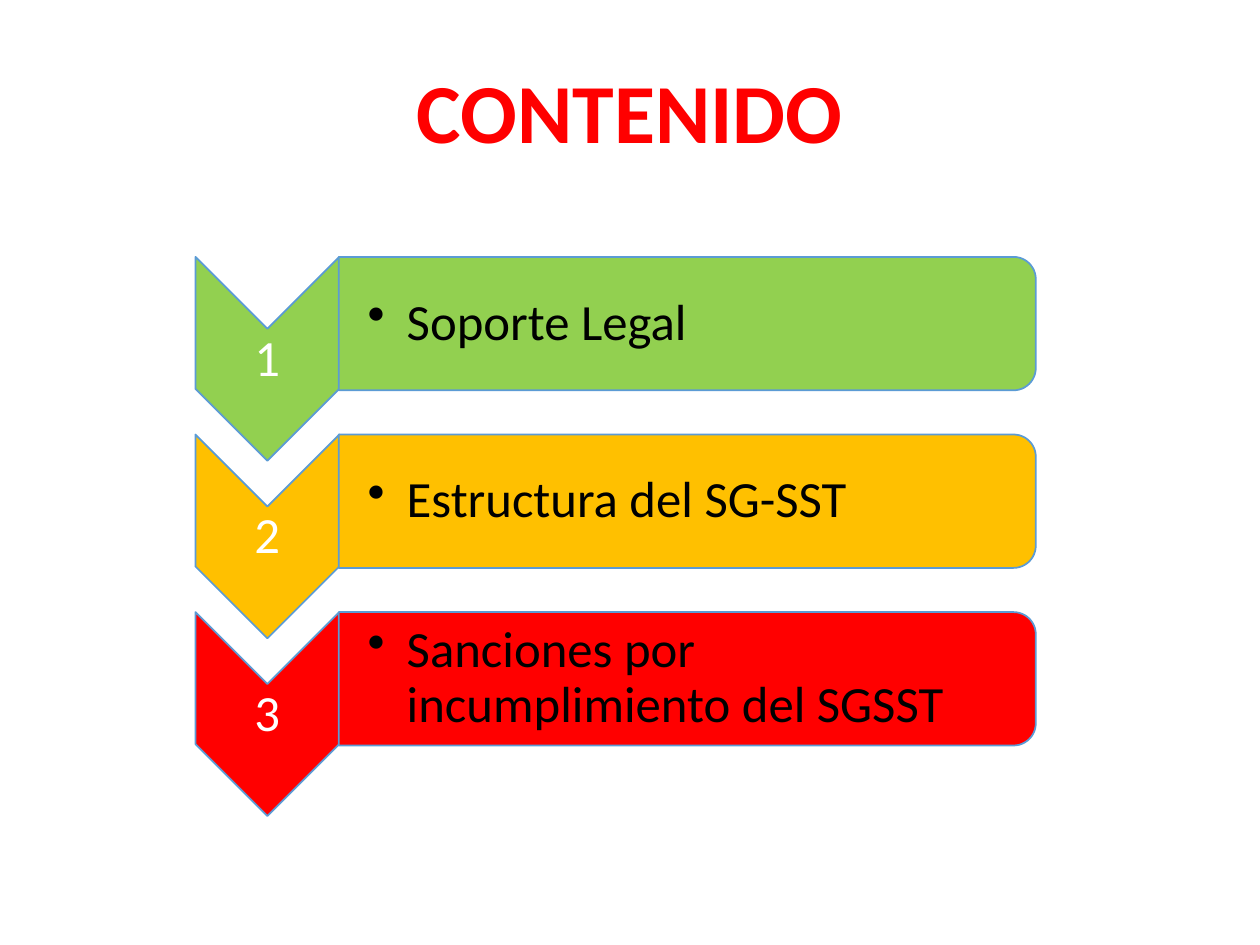
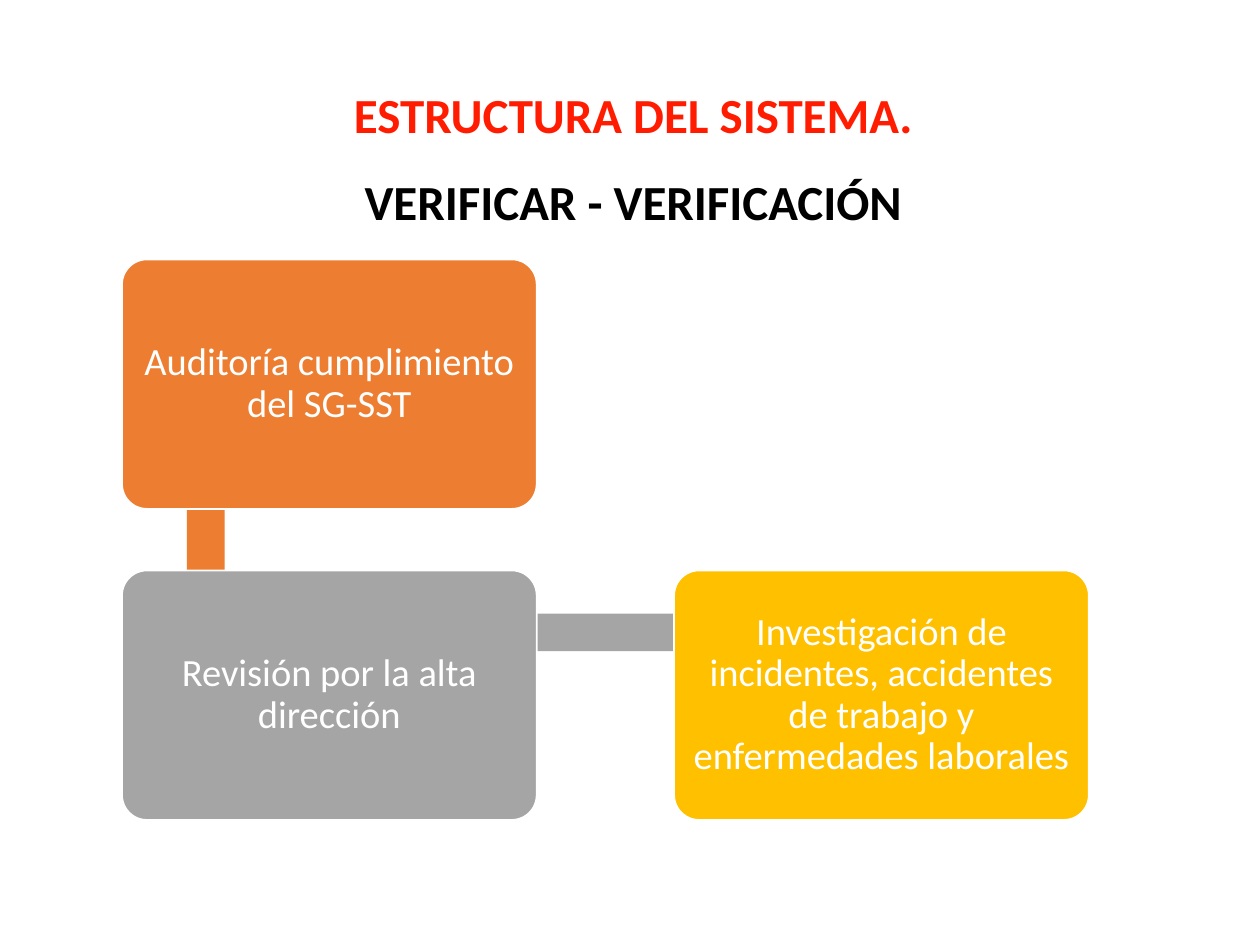
import pptx
import pptx.dml.color
import pptx.enum.shapes
import pptx.enum.text
import pptx.util
from lxml import etree
from pptx.oxml.ns import qn

Cm, Pt = pptx.util.Cm, pptx.util.Pt
RGBColor = pptx.dml.color.RGBColor
SHAPE = pptx.enum.shapes.MSO_SHAPE
ALIGN = pptx.enum.text.PP_ALIGN
ANCHOR = pptx.enum.text.MSO_ANCHOR

WHITE = RGBColor(0xFF, 0xFF, 0xFF)
BLACK = RGBColor(0x00, 0x00, 0x00)
RED = RGBColor(0xFF, 0x00, 0x00)
SCARLET = RGBColor(0xFF, 0x1C, 0x00)
GREEN = RGBColor(0x92, 0xD0, 0x50)
AMBER = RGBColor(0xFF, 0xC0, 0x00)
ORANGE = RGBColor(0xED, 0x7D, 0x31)
GREY = RGBColor(0xA5, 0xA5, 0xA5)
BLUE = RGBColor(0x5B, 0x9B, 0xD5)

FONT = "Calibri"
BULLET_INDENT = Cm(0.79)

TOPICS = [
    ("Soporte Legal", GREEN),
    ("Estructura del SG-SST", AMBER),
    ("Sanciones por incumplimiento del SGSST", RED),
]
# Text, colour, column and row of each step
STEPS = [
    ("Auditoría cumplimiento del SG-SST", ORANGE, 0, 0),
    ("Revisión por la alta dirección", GREY, 0, 1),
    ("Investigación de incidentes, accidentes de trabajo "
     "y enfermedades laborales", AMBER, 1, 1),
]


def write(shape, text, size, color, inset=0.05, left_inset=None, bold=False,
          align=ALIGN.CENTER, anchor=ANCHOR.MIDDLE, spacing=0.9, bullet=False):
    """Fill a shape with one formatted paragraph; insets are in centimetres."""
    frame = shape.text_frame
    frame_format = {
        "word_wrap": True,
        "vertical_anchor": anchor,
        "margin_left": Cm(inset if left_inset is None else left_inset),
        "margin_right": Cm(inset),
        "margin_top": Cm(inset),
        "margin_bottom": Cm(inset),
    }
    for name, value in frame_format.items():
        setattr(frame, name, value)
    para = frame.paragraphs[0]
    para.text = text
    para.alignment = align
    para.line_spacing = spacing
    if bullet:
        properties = para._p.get_or_add_pPr()
        properties.set("marL", str(BULLET_INDENT))
        properties.set("indent", str(-BULLET_INDENT))
        etree.SubElement(properties, qn("a:buChar")).set("char", "•")
    font_format = {"name": FONT, "size": Pt(size), "bold": bold}
    span = para.runs[0]
    for name, value in font_format.items():
        setattr(span.font, name, value)
    span.font.color.rgb = color


def add_text(page, left, top, width, height, text, size, color, **options):
    box = page.shapes.add_textbox(Cm(left), Cm(top), Cm(width), Cm(height))
    write(box, text, size, color, **options)


def add_title(page, left, top, width, height, text, size, color):
    add_text(page, left, top, width, height, text, size, color, inset=0.13,
             bold=True, anchor=ANCHOR.TOP, spacing=1.0)


def add_figure(page, kind, left, top, width, height, fill, line=None):
    figure = page.shapes.add_shape(kind, Cm(left), Cm(top), Cm(width), Cm(height))
    figure.shadow.inherit = False
    figure.fill.solid()
    figure.fill.fore_color.rgb = fill
    if line is None:
        figure.line.fill.background()
    else:
        figure.line.color.rgb = line
        figure.line.width = Pt(1)
    return figure


def add_turned(page, kind, left, top, width, height, fill, line):
    """Add a figure turned by 90 degrees that covers the given box."""
    shift = (width - height) / 2
    figure = add_figure(page, kind, left + shift, top - shift, height, width, fill, line)
    figure.rotation = 90


def add_topic(page, left, top, number, text, color):
    """Draw a numbered arrow and the bar to its right."""
    arrow_width, bar_width, bar_height = 2.9, 14.05, 2.69
    bar_left = left + arrow_width - 0.01
    add_turned(page, SHAPE.CHEVRON, left, top, arrow_width, 4.11, color, BLUE)
    add_text(page, left, top + 1.45, arrow_width, 1.24, str(number), 29, WHITE)
    add_turned(page, SHAPE.ROUND_2_SAME_RECTANGLE, bar_left, top,
               bar_width, bar_height, color, BLUE)
    add_text(page, bar_left, top + 0.13, bar_width - 0.13, bar_height - 0.26,
             text, 29, BLACK, left_inset=0.58, align=ALIGN.LEFT, bullet=True)


def add_topic_list(page, left, top):
    pitch = 3.58
    for row, (text, color) in enumerate(TOPICS):
        add_topic(page, left, top + row * pitch, row + 1, text, color)


def add_step_flow(page, left, top):
    """Draw the step boxes over the strips that link them."""
    width, height, strip = 8.36, 5.03, 0.76
    column_pitch, row_pitch = 11.13, 6.27
    add_figure(page, SHAPE.RECTANGLE, left + 1.31, top + 1.26, strip, 6.22, ORANGE)
    add_figure(page, SHAPE.RECTANGLE, left + 1.73, top + row_pitch + 0.87,
               11.07, strip, GREY)
    for text, color, column, row in STEPS:
        box = add_figure(page, SHAPE.ROUNDED_RECTANGLE, left + column * column_pitch,
                         top + row * row_pitch, width, height, color, WHITE)
        box.adjustments[0] = 0.1
        write(box, text, 22, WHITE, inset=0.23)


def build_contents(page):
    add_title(page, 1.7, 1.07, 22, 2.31, "CONTENIDO", 48, RED)
    add_topic_list(page, 3.94, 5.18)


def build_verification(page):
    add_step_flow(page, 2.46, 5.23)
    headings = [("ESTRUCTURA DEL SISTEMA.", SCARLET),
                ("VERIFICAR - VERIFICACIÓN", BLACK)]
    for row, (text, color) in enumerate(headings):
        add_title(page, 2.01, 1.57 + row * 1.76, 21.51, 1.45, text, 28, color)


def main():
    deck = pptx.Presentation()
    deck.slide_width, deck.slide_height = Cm(25.4), Cm(19.05)
    blank = deck.slide_layouts[6]
    for build in (build_contents, build_verification):
        build(deck.slides.add_slide(blank))
    deck.save("out.pptx")


if __name__ == "__main__":
    main()
